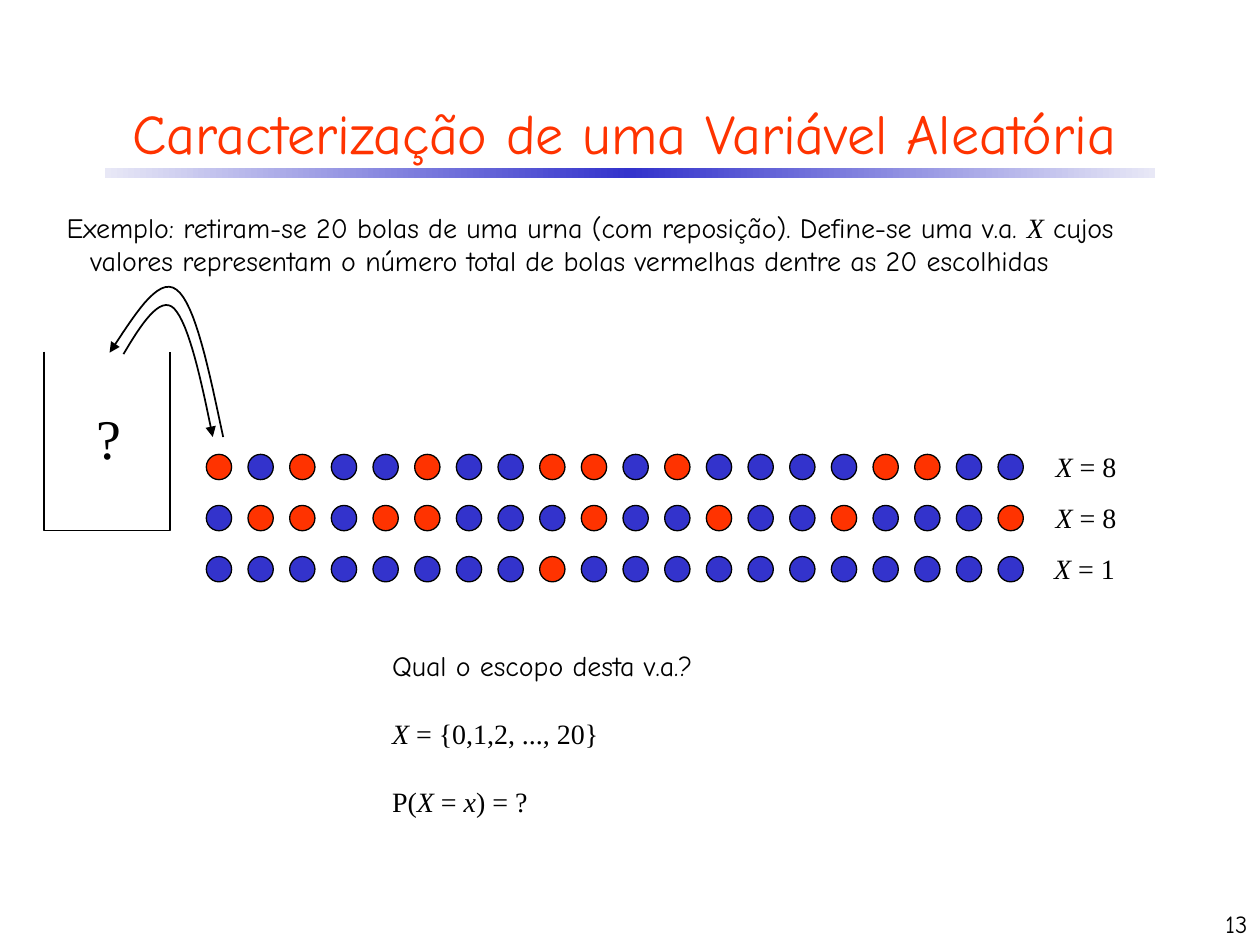
"""Builds the slide on characterising a random variable with draws from an urn."""
from dataclasses import dataclass

from lxml import etree
from pptx import Presentation
from pptx.dml.color import RGBColor
from pptx.enum.shapes import MSO_SHAPE
from pptx.enum.text import MSO_ANCHOR, MSO_AUTO_SIZE, PP_ALIGN
from pptx.oxml.ns import qn
from pptx.util import Cm, Pt

OVAL, RECTANGLE = MSO_SHAPE.OVAL, MSO_SHAPE.RECTANGLE
TOP, MIDDLE, BOTTOM = MSO_ANCHOR.TOP, MSO_ANCHOR.MIDDLE, MSO_ANCHOR.BOTTOM
LEFT, CENTER, RIGHT = PP_ALIGN.LEFT, PP_ALIGN.CENTER, PP_ALIGN.RIGHT
NO_AUTOFIT = MSO_AUTO_SIZE.NONE

HAND, SERIF = "Comic Neue", "Times New Roman"
RED, BLUE, PALE, BLACK = "FF3300", "3333CC", "E8E8F6", "000000"
BALLS_PER_DRAW = 20
BALL_LEFT, BALL_TOP, BALL_SIZE = 4.16, 9.16, 0.51
BALL_PITCH, DRAW_PITCH = 0.84, 1.03
COUNT_TOP = 8.94
CURVE_STEPS = 16


@dataclass
class Piece:
    """A stretch of text in one font."""
    text: str
    font: str = SERIF
    italic: bool = False


@dataclass
class Draw:
    """One sample of balls, with the places of the red ones."""
    reds: set[int]
    count_left: float


@dataclass
class Arrow:
    """Cubic curves through shared end points, with the end that has a head."""
    points: list[tuple[float, float]]
    head: str


X = Piece("X", italic=True)
EXAMPLE = [[
    Piece("Exemplo: retiram-se 20 bolas de uma urna (com reposição). Define-se uma v.a. ", HAND),
    X,
    Piece(" cujos valores representam o número total de bolas vermelhas dentre as 20 escolhidas", HAND),
]]
QUESTIONS = [
    [Piece("Qual o escopo desta v.a.?", HAND)],
    [X, Piece(" = {0,1,2, ..., 20}")],
    [Piece("P("), X, Piece(" = "), Piece("x", italic=True), Piece(") = ?")],
]
DRAWS = [
    Draw({0, 2, 5, 8, 9, 11, 16, 17}, 21.03),
    Draw({1, 2, 4, 5, 9, 12, 15, 19}, 21.03),
    Draw({8}, 21),
]
URN = [(0.89, 7.09), (0.89, 10.69), (3.43, 10.69), (3.43, 7.09)]
ARROWS = [
    Arrow([(2.49, 7.14), (2.84, 6.55), (3.23, 5.94), (3.51, 6.22),
           (3.81, 6.53), (4.06, 7.67), (4.29, 8.81)], "a:tailEnd"),
    Arrow([(2.21, 7.11), (2.67, 6.43), (3.18, 5.54), (3.56, 5.84),
           (3.94, 6.12), (4.22, 7.49), (4.5, 8.81)], "a:headEnd"),
]


def color(value: str) -> RGBColor:
    """Turn a hex string into a colour."""
    return RGBColor.from_string(value)


def place(shape, left: float, top: float, width: float, height: float) -> None:
    """Put a shape at a position given in centimetres."""
    shape.left, shape.top = Cm(left), Cm(top)
    shape.width, shape.height = Cm(width), Cm(height)


def write(shape, lines: list[list[Piece]], size: float, align=LEFT, anchor=TOP,
          ink: str = BLACK, wrap: bool = True) -> None:
    """Fill a shape with paragraphs of formatted pieces."""
    frame = shape.text_frame
    frame.word_wrap, frame.auto_size = wrap, NO_AUTOFIT
    frame.vertical_anchor = anchor
    for number, pieces in enumerate(lines):
        paragraph = frame.add_paragraph() if number else frame.paragraphs[0]
        paragraph.alignment = align
        for piece in pieces:
            run = paragraph.add_run()
            run.text = piece.text
            run.font.name, run.font.size = piece.font, Pt(size)
            run.font.italic = piece.italic
            run.font.color.rgb = color(ink)


def hang(body, gap: float) -> None:
    """Give list paragraphs a hanging indent, no bullet and an even gap."""
    for number, paragraph in enumerate(body.text_frame.paragraphs):
        paragraph.space_before = Pt(gap if number else 0)
        properties = paragraph._p.get_or_add_pPr()
        properties.set("marL", str(Cm(0.48)))
        properties.set("indent", str(Cm(-0.48)))
        etree.SubElement(properties, qn("a:buNone"))


def add_label(slide, box: tuple[float, ...], pieces: list[Piece], size: float, **options) -> None:
    """Add a text box with one line."""
    write(slide.shapes.add_textbox(*map(Cm, box)), [pieces], size, **options)


def add_outline(slide, points: list[tuple[float, float]], weight: float):
    """Add an open, unfilled outline through the points."""
    start, *others = [(Cm(x), Cm(y)) for x, y in points]
    builder = slide.shapes.build_freeform(*start)
    builder.add_line_segments(others, close=False)
    outline = builder.convert_to_shape()
    outline.shadow.inherit = False
    outline.fill.background()
    outline.line.color.rgb, outline.line.width = color(BLACK), Pt(weight)
    return outline


def curve_points(points: list[tuple[float, float]]) -> list[tuple[float, float]]:
    """Sample the chained cubic curves at even steps."""
    sampled = [points[0]]
    for first in range(0, len(points) - 1, 3):
        controls = points[first:first + 4]
        for step in range(1, CURVE_STEPS + 1):
            t = step / CURVE_STEPS
            weights = ((1 - t) ** 3, 3 * t * (1 - t) ** 2, 3 * t * t * (1 - t), t ** 3)
            sampled.append(tuple(sum(w * c[axis] for w, c in zip(weights, controls))
                                 for axis in (0, 1)))
    return sampled


def add_arrow(slide, arrow: Arrow) -> None:
    """Add a curved arrow."""
    outline = add_outline(slide, curve_points(arrow.points), 1)
    etree.SubElement(outline.line._get_or_add_ln(), qn(arrow.head), type="triangle")


def add_draw(slide, row: int, draw: Draw) -> None:
    """Add one row of balls and its count of red ones."""
    offset = row * DRAW_PITCH
    for column in range(BALLS_PER_DRAW):
        ball = slide.shapes.add_shape(
            OVAL, Cm(BALL_LEFT + column * BALL_PITCH), Cm(BALL_TOP + offset),
            Cm(BALL_SIZE), Cm(BALL_SIZE))
        ball.shadow.inherit = False
        ball.fill.solid()
        ball.fill.fore_color.rgb = color(RED if column in draw.reds else BLUE)
        ball.line.color.rgb, ball.line.width = color(BLACK), Pt(0.75)
    add_label(slide, (draw.count_left, COUNT_TOP + offset, 1.75, 0.94),
              [Piece("X ", italic=True), Piece(f"= {len(draw.reds)}")], 16, wrap=False)


def add_title_rule(slide) -> None:
    """Add the bar under the title, fading towards both ends."""
    rule = slide.shapes.add_shape(RECTANGLE, Cm(2.12), Cm(3.39), Cm(21.17), Cm(0.2))
    rule.shadow.inherit = False
    rule.line.fill.background()
    rule.fill.gradient()
    rule.fill.gradient_angle = 0
    stops = next(rule._element.iter(qn("a:gsLst")))
    for stop in list(stops):
        stops.remove(stop)
    for position, shade in ((0, PALE), (50, BLUE), (100, PALE)):
        stop = etree.SubElement(stops, qn("a:gs"), pos=str(position * 1000))
        etree.SubElement(stop, qn("a:srgbClr"), val=shade)


def main() -> None:
    """Build and save the slide."""
    deck = Presentation()
    deck.slide_width, deck.slide_height = Cm(25.4), Cm(19.05)
    slide = deck.slides.add_slide(deck.slide_layouts.get_by_name("Two Content"))
    title, example, questions = slide.placeholders
    add_title_rule(slide)
    place(title, 0.84, 1.7, 23.5, 1.91)
    write(title, [[Piece("Caracterização de uma Variável Aleatória", HAND)]], 32,
          CENTER, MIDDLE, RED)
    place(example, 1.09, 4.11, 23.34, 1.63)
    write(example, EXAMPLE, 16)
    hang(example, 0)
    place(questions, 7.65, 12.95, 10.34, 3.68)
    write(questions, QUESTIONS, 16)
    hang(questions, 19.5)
    add_outline(slide, URN, 0.75)
    add_label(slide, (1.7, 8, 1.02, 1.63), [Piece("?")], 32, wrap=False)
    for arrow in ARROWS:
        add_arrow(slide, arrow)
    for row, draw in enumerate(DRAWS):
        add_draw(slide, row, draw)
    add_label(slide, (20.12, 17.78, 5.28, 1.27), [Piece("13", HAND)], 14,
              align=RIGHT, anchor=BOTTOM)
    deck.save("out.pptx")


if __name__ == "__main__":
    main()
